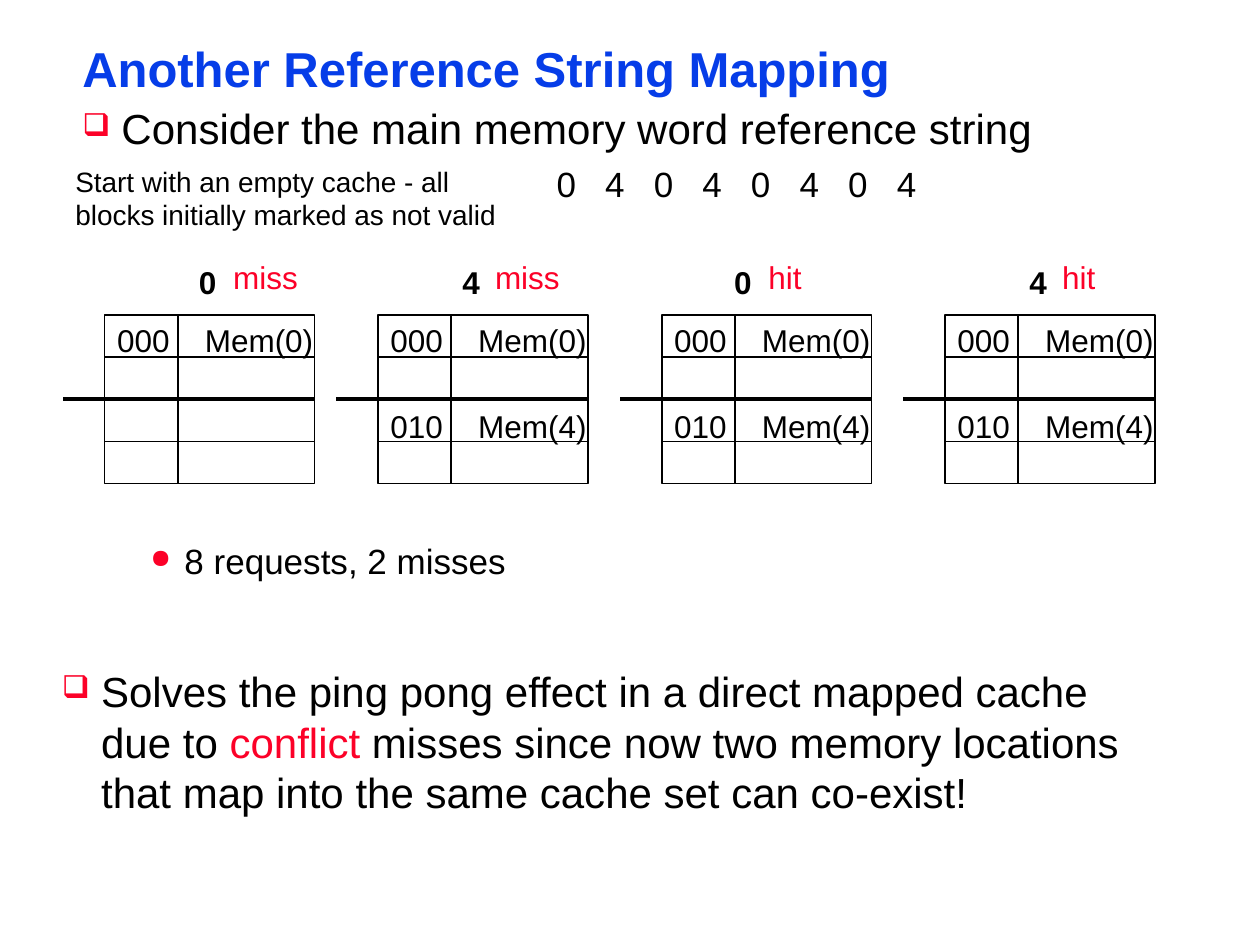
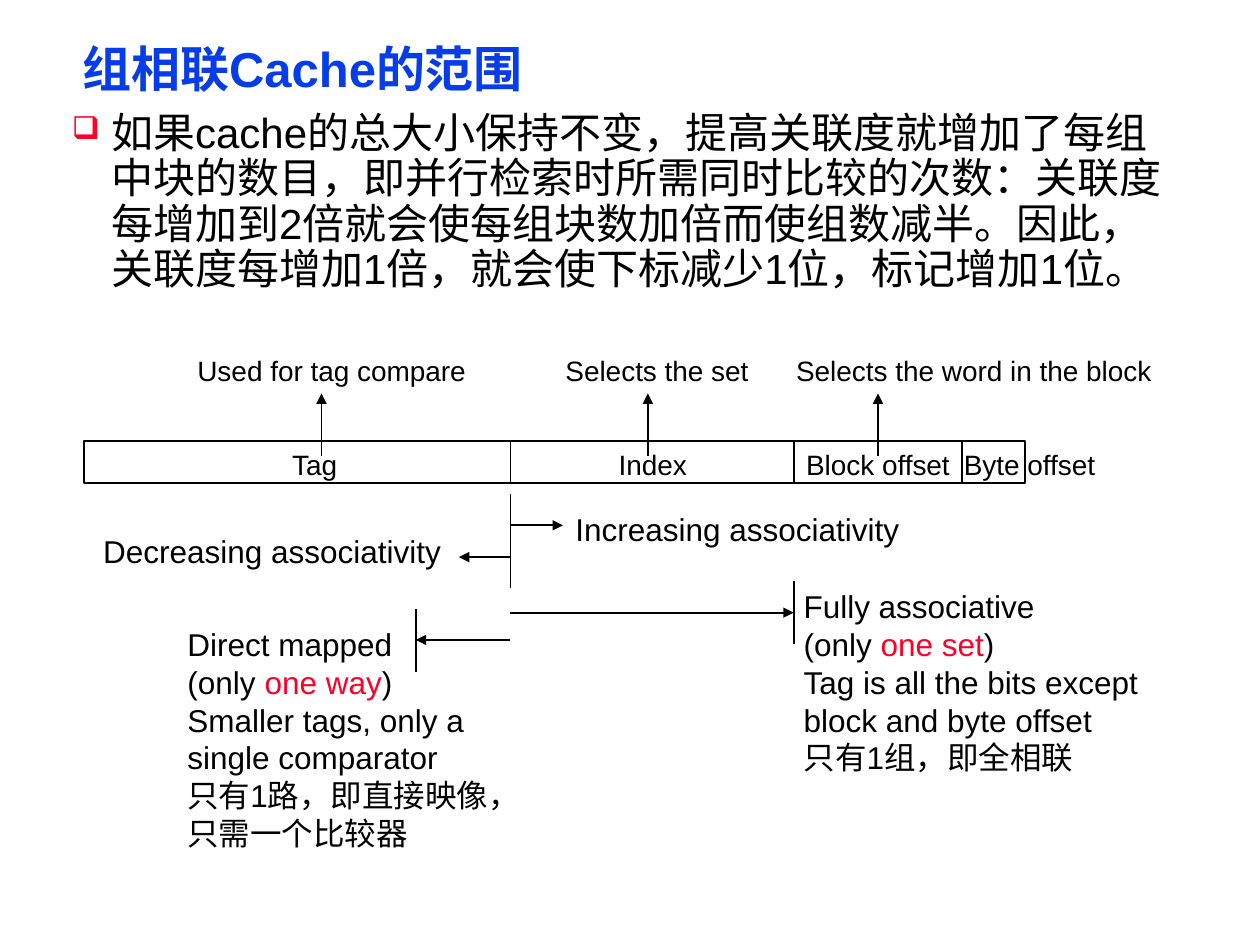
from lxml import etree
from pptx import Presentation
from pptx import util as u
from pptx.dml.color import RGBColor
from pptx.enum import shapes, text
from pptx.oxml.ns import qn

COLOURS = {"title": "063DE8", "ink": "000000", "accent": "FC0128"}
FONT = "Arial"


def add_words(slide, place, paragraphs, size, bold=False, bullet=None,
              indent=0, hang=0, spacing=None, tabs=(), inset=(0.25, 0.13)):
    """Add a text box; each paragraph is a list of (text, colour name) runs."""
    frame = slide.shapes.add_textbox(*[u.Cm(v) for v in place]).text_frame
    frame.word_wrap = True
    frame.margin_left = frame.margin_right = u.Cm(inset[0])
    frame.margin_top = frame.margin_bottom = u.Cm(inset[1])
    for number, runs in enumerate(paragraphs):
        paragraph = frame.add_paragraph() if number else frame.paragraphs[0]
        props = paragraph._p.get_or_add_pPr()
        if bullet:
            props.set("marL", str(u.Cm(indent)))
            props.set("indent", str(-u.Cm(hang)))
            bullet_colour = etree.SubElement(props, qn("a:buClr"))
            etree.SubElement(bullet_colour, qn("a:srgbClr"), val=COLOURS["accent"])
            etree.SubElement(props, qn("a:buSzPct"), val="75000")
            etree.SubElement(props, qn("a:buChar"), char=bullet)
        if tabs:
            stops = etree.SubElement(props, qn("a:tabLst"))
            for stop in tabs:
                etree.SubElement(stops, qn("a:tab"), pos=str(u.Cm(stop)), algn="l")
        if spacing:
            paragraph.line_spacing = spacing
        for words, colour in runs:
            run = paragraph.add_run()
            run.text = words
            run.font.name, run.font.size, run.font.bold = FONT, u.Pt(size), bold
            run.font.color.rgb = RGBColor.from_string(COLOURS[colour])


def add_line(slide, x1, y1, x2, y2, weight=1, arrow=False):
    line = slide.shapes.add_connector(
        shapes.MSO_CONNECTOR.STRAIGHT, u.Cm(x1), u.Cm(y1), u.Cm(x2), u.Cm(y2))
    line.line.color.rgb = RGBColor.from_string(COLOURS["ink"])
    line.line.width = u.Pt(weight)
    if arrow:
        etree.SubElement(line.line._get_or_add_ln(), qn("a:tailEnd"), type="triangle")
    etree.SubElement(line._element.spPr, qn("a:effectLst"))


deck = Presentation()
deck.slide_width, deck.slide_height = u.Cm(25.4), u.Cm(19.05)

# Titles
pages = []
for heading in ("Another Reference String Mapping", "组相联Cache的范围"):
    page = deck.slides.add_slide(deck.slide_layouts[5])
    title = page.shapes.title
    title.left, title.top, title.width, title.height = [
        u.Cm(v) for v in (1.48, 0.85, 22.65, 1.17)]
    frame = title.text_frame
    frame.auto_size = text.MSO_AUTO_SIZE.NONE
    frame.vertical_anchor = text.MSO_ANCHOR.TOP
    frame.margin_left = frame.margin_right = u.Cm(0.18)
    frame.margin_top = frame.margin_bottom = u.Cm(0.08)
    paragraph = frame.paragraphs[0]
    paragraph.alignment = text.PP_ALIGN.LEFT
    paragraph.line_spacing = 0.87
    run = paragraph.add_run()
    run.text = heading
    run.font.name, run.font.size, run.font.bold = FONT, u.Pt(28), True
    run.font.color.rgb = RGBColor.from_string(COLOURS["title"])
    pages.append(page)
mapping, ranges = pages

box_bullet = dict(bullet="❑", indent=0.79, hang=0.79, inset=(0.18, 0.08))

# Mapping: reference string
add_words(mapping, (1.48, 2.11, 22.65, 1.1),
          [[("Consider the main memory word reference string", "ink")]],
          24, spacing=0.9, **box_bullet)
add_words(mapping, (10.97, 3.15, 8.5, 1.1),
          [[("\t".join("04040404"), "ink")]], 20,
          tabs=[round(0.98 * n, 2) for n in range(1, 8)])
add_words(mapping, (1.27, 3.18, 9.53, 1.63),
          [[("Start with an empty cache - all blocks initially marked as not valid",
             "ink")]], 16)

# Mapping: cache state after each request
CACHE_TOP, ROW, TAG_WIDTH, DATA_WIDTH = 6.35, 0.85, 1.48, 2.75
first_block, second_block = "000\tMem(0)", "010\tMem(4)"
requests = [  # cache left, address left, address, outcome left, outcome, width
    (2.11, 3.76, "0", 4.45, "miss", 1.83),
    (7.62, 9.07, "4", 9.73, "miss", 1.83),
    (13.34, 14.55, "0", 15.24, "hit", 1.2),
    (19.05, 20.5, "4", 21.16, "hit", 1.2),
]
for step, (left, address_left, address, outcome_left, outcome, width) in enumerate(requests):
    for column, column_width in ((left, TAG_WIDTH), (left + TAG_WIDTH, DATA_WIDTH)):
        cells = mapping.shapes.add_shape(
            shapes.MSO_SHAPE.RECTANGLE, u.Cm(column), u.Cm(CACHE_TOP),
            u.Cm(column_width), u.Cm(4 * ROW))
        cells.shadow.inherit = False
        cells.fill.background()
        cells.line.color.rgb = RGBColor.from_string(COLOURS["ink"])
        cells.line.width = u.Pt(1)
        for row in (1, 2, 3):
            y = CACHE_TOP + row * ROW
            add_line(mapping, column, y, column + column_width, y)
    middle = CACHE_TOP + 2 * ROW
    add_line(mapping, left - 0.84, middle, left + TAG_WIDTH + DATA_WIDTH, middle, 2.25)
    add_words(mapping, (address_left, 5.18, 0.9, 1.02), [[(address, "ink")]], 18, bold=True)
    add_words(mapping, (outcome_left, 5.08, width, 1.02), [[(outcome, "accent")]], 18)
    stored = [(CACHE_TOP, first_block)]
    if step:
        stored.append((8.08, second_block))
    for top, block in stored:
        add_words(mapping, (left, top, 4.6, 1.02), [[(block, "ink")]], 18, tabs=[1.77])

# Mapping: conclusions
add_words(mapping, (1.48, 10.8, 22.65, 0.99), [[("8 requests, 2 misses", "ink")]],
          20, bullet="●", indent=2.06, hang=0.69, inset=(0.18, 0.08))
add_words(mapping, (1.07, 13.34, 22.65, 3.18),
          [[("Solves the ping pong effect in a direct mapped cache due to ", "ink"),
            ("conflict", "accent"),
            (" misses since now two memory locations that map into the same "
             "cache set can co-exist!", "ink")]], 24, **box_bullet)

# Ranges: statement
add_words(ranges, (1.27, 2.18, 22.65, 3.84),
          [[("如果cache的总大小保持不变，提高关联度就增加了每组中块的数目，"
             "即并行检索时所需同时比较的次数：关联度每增加到2倍就会使每组块数加倍"
             "而使组数减半。因此，关联度每增加1倍，就会使下标减少1位，标记增加1位。",
             "ink")]], 24, spacing=0.9, **box_bullet)

# Ranges: address fields
FIELD_TOP, FIELD_HEIGHT = 8.89, 0.85
TAG_END, INDEX_END, BLOCK_END = 10.29, 16, 19.4
address_bar = ranges.shapes.add_shape(
    shapes.MSO_SHAPE.RECTANGLE, u.Cm(1.7), u.Cm(FIELD_TOP), u.Cm(18.97), u.Cm(FIELD_HEIGHT))
address_bar.shadow.inherit = False
address_bar.fill.background()
address_bar.line.color.rgb = RGBColor.from_string(COLOURS["ink"])
address_bar.line.width = u.Pt(1)
for x in (TAG_END, INDEX_END, BLOCK_END):
    add_line(ranges, x, FIELD_TOP, x, FIELD_TOP + FIELD_HEIGHT)
for left, width, field in ((5.64, 1.55, "Tag"), (12.22, 1.95, "Index"),
                           (16, 3.5, "Block offset"), (19.18, 3.25, "Byte offset")):
    add_words(ranges, (left, FIELD_TOP, width, 0.94), [[(field, "ink")]], 16)

# Ranges: use of each field
for left, width, arrow_x, use in (
        (3.73, 6.1, 6.48, "Used for tag compare"),
        (11.15, 4.3, 13.06, "Selects the set"),
        (15.8, 7.8, 17.7, "Selects the word in the block")):
    add_words(ranges, (left, 6.99, width, 0.94), [[(use, "ink")]], 16)
    add_line(ranges, arrow_x, 9.2, arrow_x, 7.93, arrow=True)

# Ranges: moving the border between tag and index
DIRECT_X = 8.38
for x, top, bottom in ((TAG_END, 9.96, 11.23), (TAG_END, 10.8, 11.86),
                       (INDEX_END, 11.71, 12.98), (DIRECT_X, 12.27, 13.54)):
    add_line(ranges, x, top, x, bottom)
for y, target in ((10.59, 11.35), (11.23, 9.25), (12.35, INDEX_END), (12.9, DIRECT_X)):
    add_line(ranges, TAG_END, y, target, y, arrow=True)
add_words(ranges, (11.35, 10.16, 7.2, 1.02), [[("Increasing associativity", "ink")]], 18)
add_words(ranges, (1.83, 10.59, 7.4, 1.02), [[("Decreasing associativity", "ink")]], 18)

# Ranges: the two extremes
add_words(ranges, (15.95, 11.71, 7.5, 4.11),
          [[("Fully associative", "ink")],
           [("(only ", "ink"), ("one set", "accent"), (")", "ink")],
           [("Tag is all the bits except", "ink")],
           [("block and byte offset", "ink")],
           [("只有1组，即全相联", "ink")]], 18)
add_words(ranges, (3.53, 12.47, 6.63, 4.88),
          [[("Direct mapped", "ink")],
           [("(only ", "ink"), ("one way", "accent"), (")", "ink")],
           [("Smaller tags, only a single comparator", "ink")],
           [("只有1路，即直接映像，只需一个比较器", "ink")]], 18)

deck.save("out.pptx")
